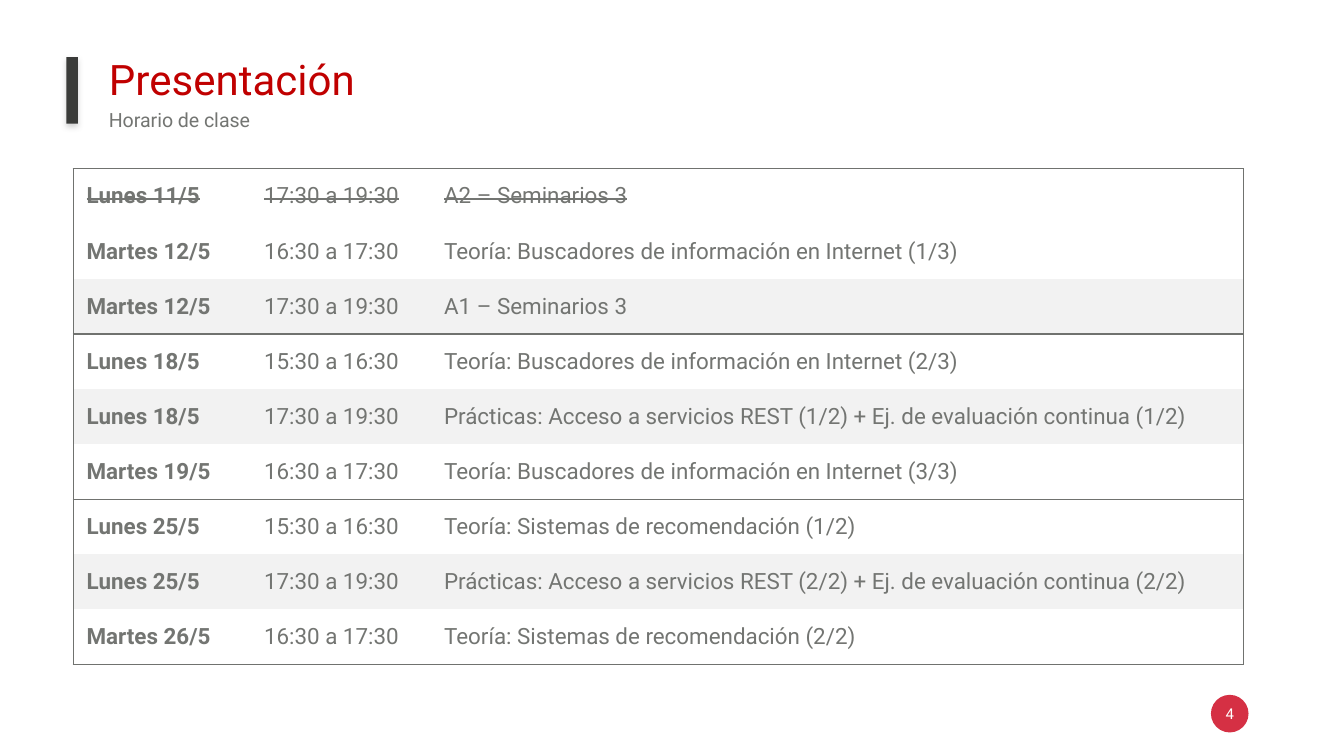
"""Builds the class timetable slide."""
from lxml.etree import SubElement, fromstring
from pptx import Presentation
from pptx.dml.color import RGBColor
from pptx.enum.shapes import MSO_SHAPE
from pptx.enum.text import MSO_ANCHOR, PP_ALIGN
from pptx.oxml.ns import qn
from pptx.util import Pt

PX = 4572
C = {"title": "C00000", "text": "737572", "rule": "70726F", "band": "F2F2F2",
     "bar": "3A3B39", "badge": "D53044", "white": "FFFFFF", "shadow": "808080"}


def write(p, text, size, color, bold=False):
    r = p.add_run()
    r.text = text
    for k, v in {"name": "Roboto", "size": Pt(size), "bold": bold}.items():
        setattr(r.font, k, v)
    r.font.color.rgb = RGBColor.from_string(C[color])
    return r


def edge(tcPr, i, side, on):
    ln = tcPr.makeelement(qn(f"a:ln{side}"), {"w": str(Pt(0.75))})
    if on:
        SubElement(SubElement(ln, qn("a:solidFill")), qn("a:srgbClr"), val=C["rule"])
    else:
        SubElement(ln, qn("a:noFill"))
    tcPr.insert(i, ln)


prs = Presentation()
prs.slide_width, prs.slide_height = 2000 * PX, 1125 * PX
s = prs.slides.add_slide(prs.slide_layouts[6])

for kind, color, box in [
    (MSO_SHAPE.OVAL, "badge", (1802, 1034, 56, 56)),
    (MSO_SHAPE.RECTANGLE, "bar", (99, 85, 17, 99)),
]:
    sp = s.shapes.add_shape(kind, *[v * PX for v in box])
    sp.shadow.inherit = False
    sp.fill.solid()
    sp.fill.fore_color.rgb = RGBColor.from_string(C[color])
    sp.line.fill.background()

sp._element.spPr.find(qn("a:effectLst")).append(fromstring(
    '<a:outerShdw xmlns:a="http://schemas.openxmlformats.org/drawingml/2006/main" '
    f'blurRad="{Pt(3.1)}" dist="{Pt(1.8)}" dir="5400000" rotWithShape="0">'
    f'<a:srgbClr val="{C["shadow"]}"><a:alpha val="35000"/></a:srgbClr></a:outerShdw>'))

for text, size, color, box, (side, top, bottom), wrap, anchor, align, before in [
    ("4", 8, "white", (1792, 1032, 76, 60), (32, 26, 26), False, MSO_ANCHOR.MIDDLE, PP_ALIGN.CENTER, 0),
    ("Presentación", 22.5, "title", (108, 54, 1802, 82), (54, 26, 26), True, MSO_ANCHOR.TOP, PP_ALIGN.LEFT, 2),
    ("Horario de clase", 10.5, "text", (108, 136, 1802, 62), (54, 25, 0), True, MSO_ANCHOR.TOP, PP_ALIGN.LEFT, 0),
]:
    tf = s.shapes.add_textbox(*[v * PX for v in box]).text_frame
    for k, v in {"word_wrap": wrap, "vertical_anchor": anchor,
                 "margin_left": side * PX, "margin_right": side * PX,
                 "margin_top": top * PX, "margin_bottom": bottom * PX}.items():
        setattr(tf, k, v)
    p = tf.paragraphs[0]
    p.alignment, p.space_before = align, Pt(before)
    write(p, text, size, color)

rows = [
    ("Lunes 11/5", "17:30 a 19:30", "A2 – Seminarios 3"),
    ("Martes 12/5", "16:30 a 17:30", "Teoría: Buscadores de información en Internet (1/3)"),
    ("Martes 12/5", "17:30 a 19:30", "A1 – Seminarios 3"),
    ("Lunes 18/5", "15:30 a 16:30", "Teoría: Buscadores de información en Internet (2/3)"),
    ("Lunes 18/5", "17:30 a 19:30", "Prácticas: Acceso a servicios REST (1/2) + Ej. de evaluación continua (1/2)"),
    ("Martes 19/5", "16:30 a 17:30", "Teoría: Buscadores de información en Internet (3/3)"),
    ("Lunes 25/5", "15:30 a 16:30", "Teoría: Sistemas de recomendación (1/2)"),
    ("Lunes 25/5", "17:30 a 19:30", "Prácticas: Acceso a servicios REST (2/2) + Ej. de evaluación continua (2/2)"),
    ("Martes 26/5", "16:30 a 17:30", "Teoría: Sistemas de recomendación (2/2)"),
]
banded, cancelled, week = {2, 4, 7}, {0}, 3
widths = [264, 268, 1210]

tbl = s.shapes.add_table(len(rows), len(widths), 109 * PX, 251 * PX,
                         sum(widths) * PX, 82 * len(rows) * PX).table
tbl.first_row = tbl.horz_banding = False
for col, w in zip(tbl.columns, widths):
    col.width = w * PX

for i, row in enumerate(rows):
    for j, text in enumerate(row):
        cell = tbl.cell(i, j)
        cell.vertical_anchor = MSO_ANCHOR.MIDDLE
        r = write(cell.text_frame.paragraphs[0], text, 12, "text", j == 0)
        if i in cancelled:
            r._r.get_or_add_rPr().set("strike", "sngStrike")
        cell.fill.solid()
        cell.fill.fore_color.rgb = RGBColor.from_string(C["band" if i in banded else "white"])
        sides = {"L": j == 0, "R": j == len(widths) - 1,
                 "T": i % week == 0, "B": i % week == week - 1}
        for n, (side, on) in enumerate(sides.items()):
            edge(cell._tc.get_or_add_tcPr(), n, side, on)

prs.save("out.pptx")
